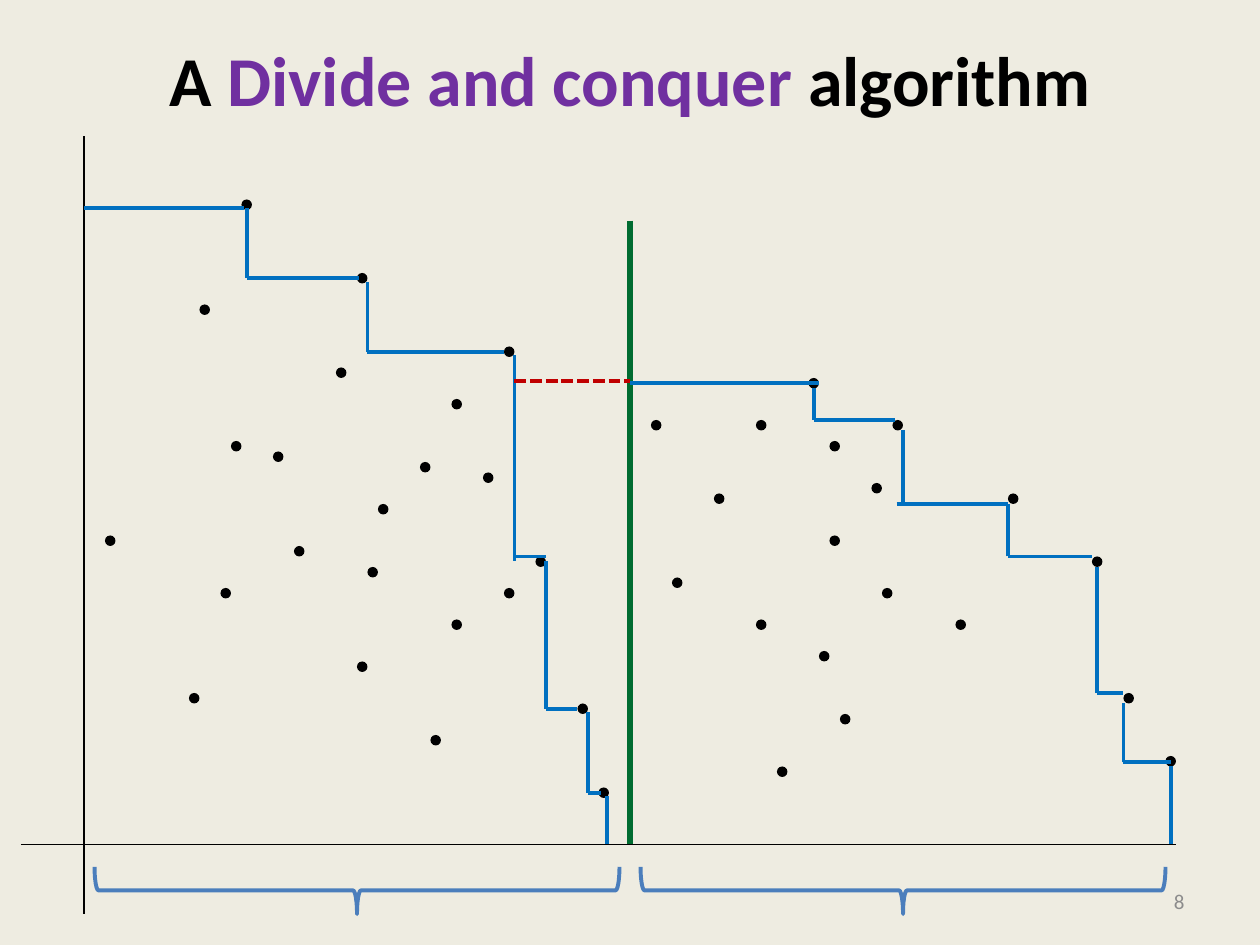
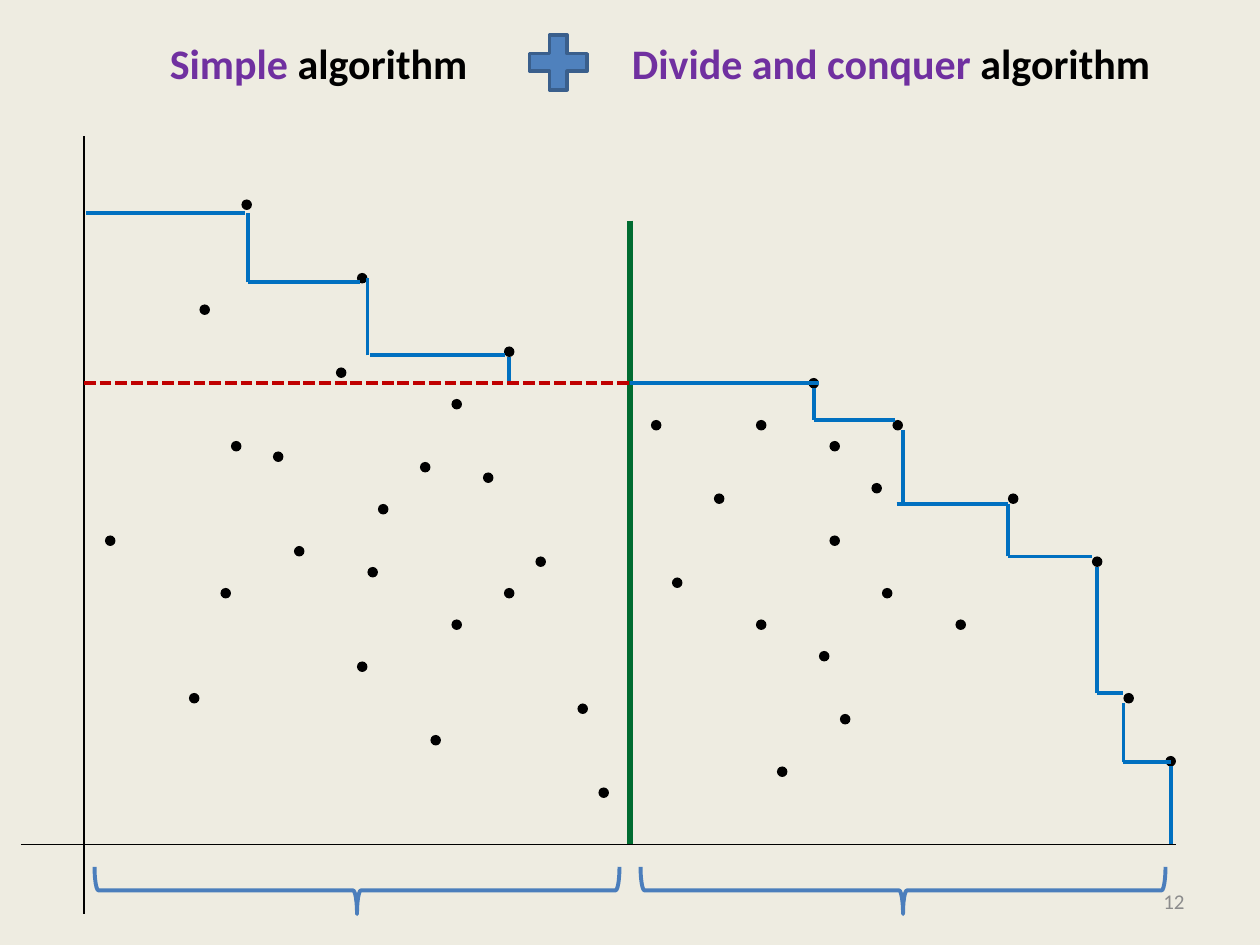
"""Build two slides on finding the staircase of maximal points by divide and conquer."""
import pptx
import pptx.dml.color
import pptx.enum.dml
import pptx.enum.shapes
import pptx.enum.text
import pptx.oxml.ns
import pptx.util
from lxml import etree

RGB = pptx.dml.color.RGBColor.from_string
SHAPE = pptx.enum.shapes.MSO_SHAPE
ALIGN = pptx.enum.text.PP_ALIGN
ANCHOR = pptx.enum.text.MSO_ANCHOR
DASH = pptx.enum.dml.MSO_LINE

COLORS = {
    "paper": "EEECE1", "ink": "000000", "accent": "7030A0", "number": "8C8C8C",
    "divider": "006C31", "brace": "4B7EBC", "stair": "0070C0", "merge": "C00000",
    "plus": "4F81BD", "plus_edge": "3A5F8C",
}
COLUMNS, ROWS = 120, 90

prs = pptx.Presentation()
prs.slide_width = pptx.util.Inches(10)
prs.slide_height = pptx.util.Inches(7.5)
CELL_W = prs.slide_width / COLUMNS
CELL_H = prs.slide_height / ROWS

FLOOR = 80.4
AXES = [(8, 13, 8, 87), (2, FLOOR, 112, FLOOR)]
DIVIDER = [(60, 21, 60, FLOOR)]
BRACES = [31.75, 83.75]

POINTS = [
    (10, 51), (18, 66), (19, 29), (21, 56), (22, 42), (23, 19), (26, 43),
    (28, 52), (32, 35), (34, 26), (34, 63), (35, 54), (36, 48), (40, 44),
    (41, 70), (43, 38), (43, 59), (46, 45), (48, 33), (48, 56), (51, 53),
    (55, 67), (57, 75), (62, 40), (64, 55), (68, 47), (72, 40), (72, 59),
    (74, 73), (77, 36), (78, 62), (79, 42), (79, 51), (80, 68), (83, 46),
    (84, 56), (85, 40), (91, 59), (96, 47), (104, 53), (107, 66), (111, 72),
]
RIGHT_STAIR = [
    (60, 36.5, 78, 36.5), (77.5, 40, 77.5, 37), (77.5, 40, 85.2, 40),
    (86, 48, 86, 41), (85.4, 48, 96, 48), (96, 53, 96, 48), (96, 53, 104, 53),
    (104.5, 66, 104.5, 54), (104.5, 66, 107, 66), (107, 72.6, 107, 67),
    (107, 72.6, 111.5, 72.6), (111.5, FLOOR, 111.5, 73),
]
FULL_LEFT_STAIR = [
    (8, 19.8, 23.2, 19.8), (23.5, 26.5, 23.5, 19.8), (23.5, 26.5, 34.2, 26.5),
    (35, 33.5, 35, 26.9), (35, 33.5, 48, 33.5), (49, 53.4, 49, 33.8),
    (49, 53, 52, 53), (52, 67.5, 52, 53.4), (52, 67.5, 55, 67.5),
    (56, 75.5, 56, 67.8), (56, 75.5, 57.2, 75.5), (57.8, FLOOR, 57.8, 75.8),
]
CUT_LEFT_STAIR = [
    (8.2, 20.3, 23.3, 20.3), (23.65, 26.9, 23.65, 20.3), (23.65, 26.9, 34.3, 26.9),
    (35, 33.85, 35, 26.5), (35.2, 33.85, 48.1, 33.85), (48.5, 36.5, 48.5, 34),
]

HEADING = {"size": pptx.util.Pt(24), "bold": True}
TITLE = {"size": pptx.util.Pt(40), "bold": True}
NUMBER = {"size": pptx.util.Pt(12)}
PLAIN_FRAME = {"word_wrap": False}
NUMBER_FRAME = {"word_wrap": True, "vertical_anchor": ANCHOR.MIDDLE}
TITLE_FRAME = {**NUMBER_FRAME, "margin_top": 0, "margin_bottom": pptx.util.Pt(44)}

SLIDES = [
    {
        "number": "8", "left_stair": FULL_LEFT_STAIR, "merge": (49, 36.3, 60, 36.3),
        "plus": [],
        "texts": [
            ((6, 3.6, 108, 15), TITLE_FRAME, ALIGN.CENTER, TITLE,
             [("A ", "ink"), ("Divide and conquer ", "accent"), ("algorithm", "ink")]),
        ],
    },
    {
        "number": "12", "left_stair": CUT_LEFT_STAIR, "merge": (8, 36.5, 60.2, 36.5),
        "plus": [(49.45, 2.4, 7.45, 7.1)],
        "texts": [
            ((59, 3, 52.2, 6), PLAIN_FRAME, ALIGN.LEFT, HEADING,
             [("Divide and conquer ", "accent"), ("algorithm", "ink")]),
            ((15, 3, 31, 6), PLAIN_FRAME, ALIGN.LEFT, HEADING,
             [("Simple ", "accent"), ("algorithm", "ink")]),
        ],
    },
]


def grid(x, y, w, h):
    """Turn grid columns and rows into lengths on the slide."""
    return [round(v * c) for v, c in zip((x, y, w, h), (CELL_W, CELL_H) * 2)]


def add_text(s, box, frame, align, font, runs):
    """Add one paragraph of coloured runs."""
    tf = s.shapes.add_textbox(*grid(*box)).text_frame
    for name, value in frame.items():
        setattr(tf, name, value)
    p = tf.paragraphs[0]
    p.alignment = align
    for text, color in runs:
        r = p.add_run()
        r.text = text
        for name, value in {"name": "Calibri", **font}.items():
            setattr(r.font, name, value)
        r.font.color.rgb = RGB(COLORS[color])


for content in SLIDES:
    s = prs.slides.add_slide(prs.slide_layouts[6])
    s.background.fill.solid()
    s.background.fill.fore_color.rgb = RGB(COLORS["paper"])

    for text in content["texts"]:
        add_text(s, *text)
    add_text(s, (86, 83.4, 28, 4.8), NUMBER_FRAME, ALIGN.RIGHT, NUMBER,
             [(content["number"], "number")])

    shapes = [(SHAPE.OVAL, (x, y, 1, 1), 0, "ink", None, 0) for x, y in POINTS]
    shapes += [(SHAPE.RIGHT_BRACE, (x, 59.8, 4.5, 50), 90, None, "brace", 2.25)
               for x in BRACES]
    shapes += [(SHAPE.MATH_PLUS, box, 0, "plus", "plus_edge", 2)
               for box in content["plus"]]
    for kind, box, rotation, fill, edge, width in shapes:
        sp = s.shapes.add_shape(kind, *grid(*box))
        sp.rotation = rotation
        sp.shadow.inherit = False
        for part, color in ((sp.fill, fill), (sp.line.fill, edge)):
            if color:
                part.solid()
                part.fore_color.rgb = RGB(COLORS[color])
            else:
                part.background()
        if edge:
            sp.line.width = pptx.util.Pt(width)

    for segments, color, width, dash in (
        (DIVIDER, "divider", 3, None),
        (AXES, "ink", 0.75, None),
        (content["left_stair"], "stair", 2.25, None),
        (RIGHT_STAIR, "stair", 2.25, None),
        ([content["merge"]], "merge", 2.25, DASH.SQUARE_DOT),
    ):
        for segment in segments:
            line = s.shapes.add_connector(
                pptx.enum.shapes.MSO_CONNECTOR.STRAIGHT, *grid(*segment))
            line.line.color.rgb = RGB(COLORS[color])
            for name, value in {"width": pptx.util.Pt(width), "dash_style": dash}.items():
                setattr(line.line, name, value)
            etree.SubElement(line._element.spPr, pptx.oxml.ns.qn("a:effectLst"))

prs.save("out.pptx")
